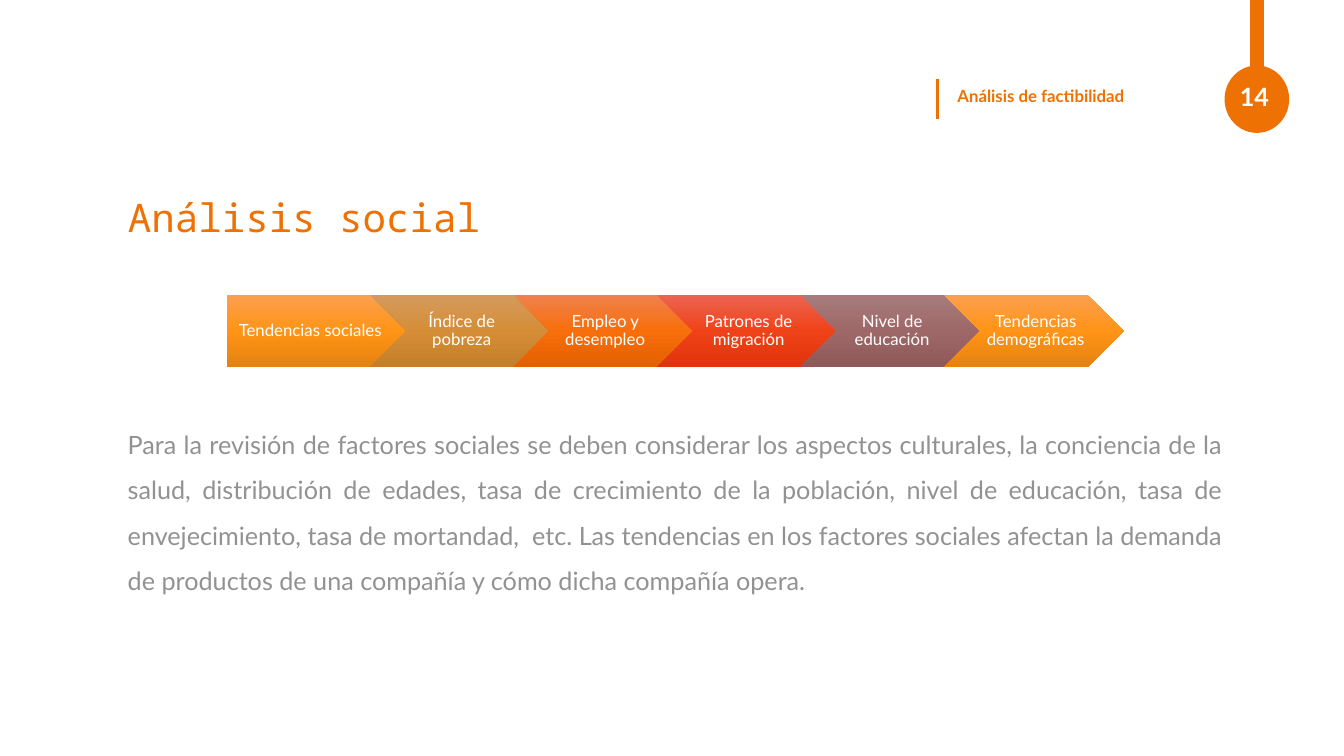
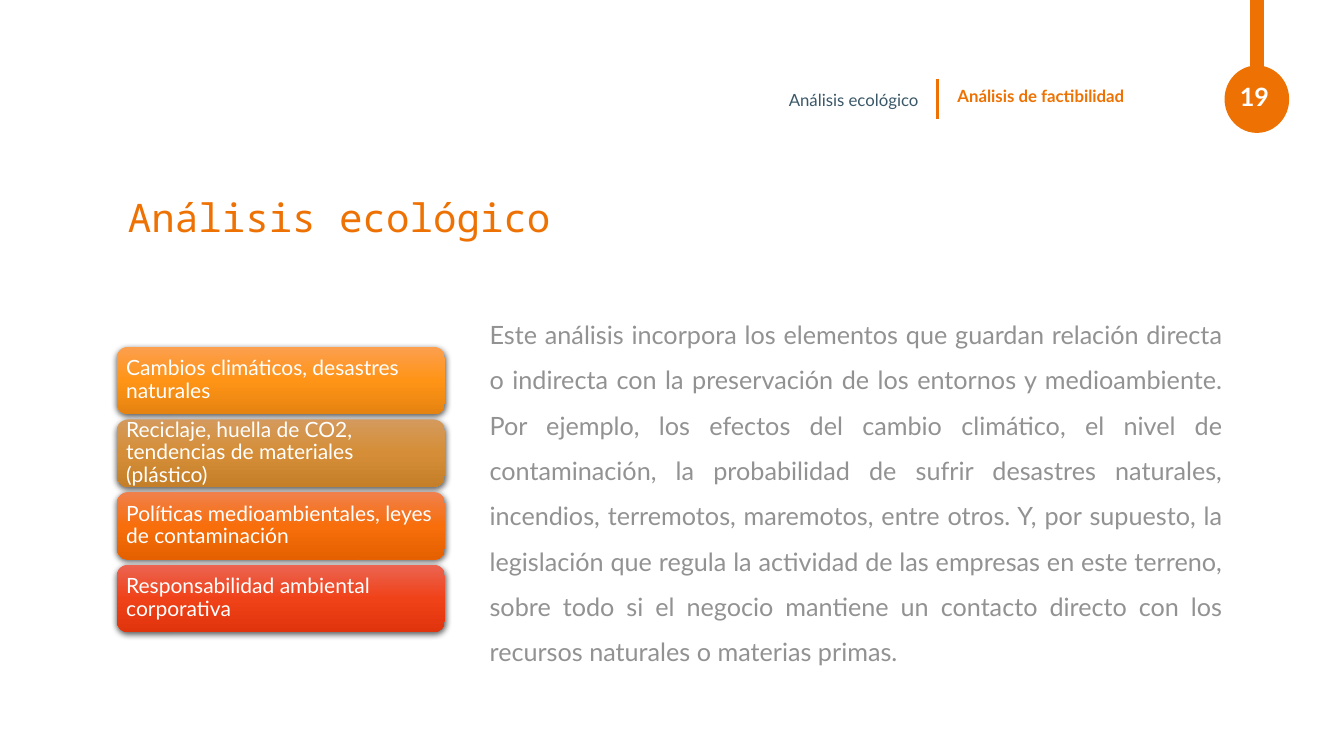
from dataclasses import dataclass

from lxml.etree import SubElement
from pptx import Presentation
from pptx.dml.color import RGBColor
from pptx.enum.shapes import MSO_CONNECTOR, MSO_SHAPE
from pptx.enum.text import MSO_ANCHOR, PP_ALIGN
from pptx.oxml.ns import qn
from pptx.shapes.autoshape import Shape
from pptx.slide import Slide
from pptx.text.text import TextFrame
from pptx.util import Cm, Pt

COLORS = {
    "accent": "EE7203",
    "body": "929292",
    "topic": "3A5868",
    "white": "FFFFFF",
    "shadow": "000000",
}
GRADIENTS = {
    "amber": ("FC9F4F", "FF9416", "E58311"),
    "ochre": ("D49A5D", "D58E37", "C57F29"),
    "orange": ("F0814D", "F76E0B", "E56000"),
    "red": ("EB6451", "F04219", "E0340C"),
    "plum": ("A77C7C", "9F6868", "905959"),
}
FONT = "Lato"
TITLE_FONT = "Noto Sans Mono"
STEP_WIDTH = 4.52
STEP_PITCH = STEP_WIDTH * 0.8
CARD_PITCH = 1.83


@dataclass(frozen=True)
class Box:
    left: float
    top: float
    width: float
    height: float

    def lengths(self) -> tuple[Cm, Cm, Cm, Cm]:
        return Cm(self.left), Cm(self.top), Cm(self.width), Cm(self.height)


@dataclass(frozen=True)
class TextStyle:
    size: float
    color: str
    font: str = FONT
    bold: bool = False
    align: PP_ALIGN = PP_ALIGN.LEFT
    spacing: float = 1.0
    before: float = 0
    anchor: MSO_ANCHOR = MSO_ANCHOR.MIDDLE


@dataclass(frozen=True)
class Item:
    text: str
    gradient: str


TITLE = TextStyle(28, "accent", TITLE_FONT, spacing=0.9)
SECTION = TextStyle(12, "accent", bold=True)
NUMBER = TextStyle(18, "white", bold=True, align=PP_ALIGN.RIGHT)
TOPIC = TextStyle(12, "topic", align=PP_ALIGN.RIGHT, spacing=1.5, before=10)
BODY = TextStyle(18, "body", align=PP_ALIGN.JUSTIFY, spacing=1.5, before=10,
                 anchor=MSO_ANCHOR.TOP)
STEP = TextStyle(12, "white", align=PP_ALIGN.CENTER, spacing=0.9)
CARD = TextStyle(15, "white", spacing=0.9)

SOCIAL_STEPS = [
    Item("Tendencias sociales", "amber"),
    Item("Índice de pobreza", "ochre"),
    Item("Empleo y desempleo", "orange"),
    Item("Patrones de migración", "red"),
    Item("Nivel de educación", "plum"),
    Item("Tendencias demográficas", "amber"),
]
ECOLOGY_CARDS = [
    Item("Cambios climáticos, desastres naturales", "amber"),
    Item("Reciclaje, huella de CO2, tendencias de materiales (plástico)", "ochre"),
    Item("Políticas medioambientales, leyes de contaminación", "orange"),
    Item("Responsabilidad ambiental corporativa", "red"),
]
SOCIAL_BODY = (
    "Para la revisión de factores sociales se deben considerar los aspectos "
    "culturales, la conciencia de la salud, distribución de edades, tasa de "
    "crecimiento de la población, nivel de educación, tasa de envejecimiento, "
    "tasa de mortandad,  etc. Las tendencias en los factores sociales afectan "
    "la demanda de productos de una compañía y cómo dicha compañía opera."
)
ECOLOGY_BODY = (
    "Este análisis incorpora los elementos que guardan relación directa o "
    "indirecta con la preservación de los entornos y medioambiente. Por ejemplo, "
    "los efectos del cambio climático, el nivel de contaminación, la "
    "probabilidad de sufrir desastres naturales, incendios, terremotos, "
    "maremotos, entre otros. Y, por supuesto, la legislación que regula la "
    "actividad de las empresas en este terreno, sobre todo si el negocio "
    "mantiene un contacto directo con los recursos naturales o materias primas."
)


def rgb(name: str) -> RGBColor:
    return RGBColor.from_string(COLORS[name])


def write(tf: TextFrame, text: str, style: TextStyle) -> None:
    tf.word_wrap = True
    tf.vertical_anchor = style.anchor
    p = tf.paragraphs[0]
    p.alignment = style.align
    p.line_spacing = style.spacing
    p.space_before = Pt(style.before)
    r = p.add_run()
    r.text = text
    r.font.name = style.font
    r.font.size = Pt(style.size)
    r.font.bold = style.bold
    r.font.color.rgb = rgb(style.color)


def set_insets(tf: TextFrame, left: float, top: float, right: float, bottom: float) -> None:
    tf.margin_left, tf.margin_top = Cm(left), Cm(top)
    tf.margin_right, tf.margin_bottom = Cm(right), Cm(bottom)


def add_text(s: Slide, box: Box, text: str, style: TextStyle) -> None:
    write(s.shapes.add_textbox(*box.lengths()).text_frame, text, style)


def add_line(s: Slide, x: float, y1: float, y2: float, width: float) -> None:
    line = s.shapes.add_connector(MSO_CONNECTOR.STRAIGHT, Cm(x), Cm(y1), Cm(x), Cm(y2))
    line.line.color.rgb = rgb("accent")
    line.line.width = Pt(width)
    SubElement(line._element.spPr, qn("a:effectLst"))


def add_plain_shape(s: Slide, kind: MSO_SHAPE, box: Box) -> Shape:
    sp = s.shapes.add_shape(kind, *box.lengths())
    sp.shadow.inherit = False
    sp.line.fill.background()
    return sp


def fill_gradient(sp: Shape, name: str) -> None:
    sp.fill.gradient()
    sp.fill.gradient_angle = 270
    stops = sp._element.spPr.find(".//" + qn("a:gsLst"))
    stops.clear()
    for i, color in enumerate(GRADIENTS[name]):
        stop = SubElement(stops, qn("a:gs"), pos=str(i * 50000))
        SubElement(stop, qn("a:srgbClr"), val=color)


def add_shadow(sp: Shape) -> None:
    effects = sp._element.spPr.find(qn("a:effectLst"))
    shadow = SubElement(effects, qn("a:outerShdw"), blurRad=str(Pt(4.5)),
                        dist=str(Pt(1.5)), dir="5400000", rotWithShape="0")
    color = SubElement(shadow, qn("a:srgbClr"), val=COLORS["shadow"])
    SubElement(color, qn("a:alpha"), val="63000")


def add_framed_slide(prs: Presentation, title: str, number: int) -> Slide:
    s = prs.slides.add_slide(prs.slide_layouts[5])
    heading = s.shapes.title
    heading.left, heading.top, heading.width, heading.height = Box(
        2.97, 4.17, 26.49, 2.74).lengths()
    write(heading.text_frame, title, TITLE)
    circle = add_plain_shape(s, MSO_SHAPE.OVAL, Box(30.86, 1.65, 1.63, 1.7))
    circle.fill.solid()
    circle.fill.fore_color.rgb = rgb("accent")
    add_line(s, 31.67, 2.16, 0, 10)
    add_line(s, 23.62, 1.98, 3, 2.25)
    add_text(s, Box(30.86, 2.03, 1.37, 0.81), str(number), NUMBER)
    add_text(s, Box(23.88, 1.93, 6.81, 0.99), "Análisis de factibilidad", SECTION)
    return s


def add_steps(s: Slide, steps: list[Item]) -> None:
    for i, step in enumerate(steps):
        kind = MSO_SHAPE.CHEVRON if i else MSO_SHAPE.PENTAGON
        box = Box(5.72 + i * STEP_PITCH, 7.44, STEP_WIDTH, 1.8)
        sp = add_plain_shape(s, kind, box)
        fill_gradient(sp, step.gradient)
        set_insets(sp.text_frame, 0.13 if i else 0.18, 0.1, 0.05, 0.1)
        write(sp.text_frame, step.text, STEP)


def add_cards(s: Slide, cards: list[Item]) -> None:
    for i, card in enumerate(cards):
        box = Box(2.95, 8.74 + i * CARD_PITCH, 8.26, 1.7)
        sp = add_plain_shape(s, MSO_SHAPE.ROUNDED_RECTANGLE, box)
        fill_gradient(sp, card.gradient)
        add_shadow(sp)
        set_insets(sp.text_frame, 0.15, 0.15, 0.15, 0.15)
        write(sp.text_frame, card.text, CARD)


def add_social_slide(prs: Presentation) -> None:
    s = add_framed_slide(prs, "Análisis social", 14)
    add_steps(s, SOCIAL_STEPS)
    add_text(s, Box(2.97, 10.31, 28.09, 6.81), SOCIAL_BODY, BODY)


def add_ecology_slide(prs: Presentation) -> None:
    s = add_framed_slide(prs, "Análisis ecológico", 19)
    add_text(s, Box(12.4, 1.9, 11, 0.99), "Análisis ecológico", TOPIC)
    add_cards(s, ECOLOGY_CARDS)
    add_text(s, Box(12.09, 7.54, 18.97, 9.58), ECOLOGY_BODY, BODY)


def main() -> None:
    prs = Presentation()
    prs.slide_width, prs.slide_height = Cm(33.87), Cm(19.05)
    add_social_slide(prs)
    add_ecology_slide(prs)
    prs.save("out.pptx")


if __name__ == "__main__":
    main()
